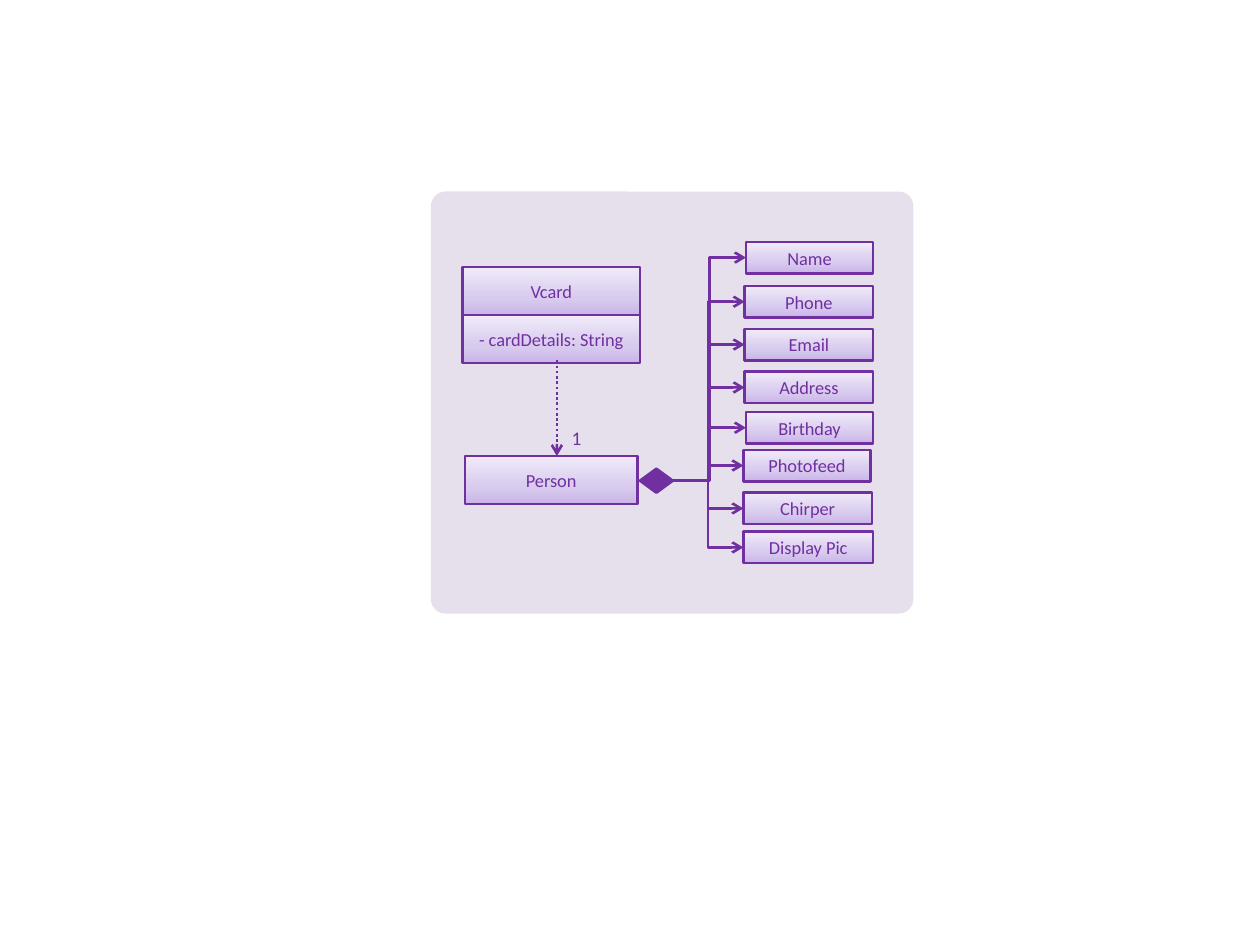
from copy import deepcopy

from lxml.etree import SubElement
from pptx import Presentation
from pptx.dml.color import RGBColor
from pptx.enum.dml import MSO_LINE
from pptx.enum.shapes import MSO_CONNECTOR as Connector, MSO_SHAPE as Shape
from pptx.enum.text import MSO_ANCHOR as Anchor, PP_ALIGN as Align
from pptx.oxml.ns import qn
from pptx.util import Inches, Pt

PURPLE = RGBColor(0x70, 0x30, 0xA0)
PANEL = RGBColor(0xE6, 0xE0, 0xEC)
GRADIENT = (
    (0, RGBColor(0xC9, 0xB5, 0xE8)),
    (0.35, RGBColor(0xD8, 0xCB, 0xEE)),
    (1, RGBColor(0xF0, 0xEA, 0xF9)),
)
LEFT_SITE, RIGHT_SITE = 1, 3

FIELDS = (
    ("Name", 5.92, 1.92, 1.01),
    ("Phone", 5.91, 2.27, 1.02),
    ("Email", 5.91, 2.61, 1.02),
    ("Address", 5.91, 2.95, 1.02),
    ("Birthday", 5.92, 3.27, 1.01),
    ("Photofeed", 5.9, 3.57, 1.01),
    ("Chirper", 5.9, 3.91, 1.02),
    ("Display Pic", 5.9, 4.22, 1.03),
)


class ClassDiagram:
    """Draws the parts of a class diagram on one slide in a shared style."""

    font = "Calibri"
    line_width = Pt(1.5)

    def __init__(self, slide):
        self.shapes = slide.shapes

    def solid(self, kind, left, top, width, height, color):
        shape = self.shapes.add_shape(
            kind, Inches(left), Inches(top), Inches(width), Inches(height))
        shape.shadow.inherit = False
        shape.fill.solid()
        shape.fill.fore_color.rgb = color
        shape.line.fill.background()
        return shape

    def outline(self, shape):
        shape.line.color.rgb = PURPLE
        shape.line.width = self.line_width

    def set_text(self, shape, text, size):
        text_frame = shape.text_frame
        text_frame.text = text
        paragraph = text_frame.paragraphs[0]
        paragraph.alignment = Align.CENTER
        font = paragraph.runs[0].font
        font.name, font.size = self.font, Pt(size)
        font.color.rgb = PURPLE

    def box(self, text, left, top, width, height):
        shape = self.solid(Shape.RECTANGLE, left, top, width, height, PANEL)
        shape.fill.gradient()
        shape.fill.gradient_angle = 90
        stop_list = shape.element.spPr.find(".//" + qn("a:gsLst"))
        stop_list.append(deepcopy(stop_list[-1]))
        for stop, (position, color) in zip(shape.fill.gradient_stops, GRADIENT):
            stop.position = position
            stop.color.rgb = color
        self.outline(shape)
        shape.text_frame.word_wrap = True
        shape.text_frame.vertical_anchor = Anchor.MIDDLE
        self.set_text(shape, text, 10.5)
        return shape

    def label(self, text, left, top, width, height):
        shape = self.shapes.add_textbox(
            Inches(left), Inches(top), Inches(width), Inches(height))
        text_frame = shape.text_frame
        text_frame.word_wrap = True
        text_frame.margin_left = text_frame.margin_right = 0
        text_frame.margin_top = text_frame.margin_bottom = 0
        self.set_text(shape, text, 11)

    def arrow(self, kind, left=0, top=0, right=0, bottom=0):
        connector = self.shapes.add_connector(
            kind, Inches(left), Inches(top), Inches(right), Inches(bottom))
        self.outline(connector)
        properties = connector.element.spPr
        line = properties.find(qn("a:ln"))
        SubElement(line, qn("a:tailEnd"), type="arrow")
        SubElement(properties, qn("a:effectLst"))
        return connector

    def branch(self, source, target):
        connector = self.arrow(Connector.ELBOW)
        connector.begin_connect(source, RIGHT_SITE)
        connector.end_connect(target, LEFT_SITE)


presentation = Presentation()
presentation.slide_width = Inches(10)
presentation.slide_height = Inches(7.5)
slide = presentation.slides.add_slide(presentation.slide_layouts[6])
diagram = ClassDiagram(slide)

panel = diagram.solid(Shape.ROUNDED_RECTANGLE, 3.42, 1.52, 3.83, 3.35, PANEL)
panel.adjustments[0] = 0.035

diagram.box("Person", 3.69, 3.62, 1.37, 0.38)
diagram.box("Vcard", 3.67, 2.12, 1.41, 0.38)
diagram.box("- cardDetails: String", 3.67, 2.5, 1.41, 0.38)

dependency = diagram.arrow(Connector.STRAIGHT, 4.42, 2.86, 4.42, 3.62)
dependency.line.dash_style = MSO_LINE.ROUND_DOT
diagram.label("1", 4.47, 3.38, 0.21, 0.2)

diamond = diagram.solid(
    Shape.FLOWCHART_DECISION, 5.08, 3.72, 0.26, 0.19, PURPLE)
diagram.outline(diamond)

for name, left, top, width in FIELDS:
    field = diagram.box(name, left, top, width, 0.25)
    diagram.branch(diamond, field)

presentation.save("out.pptx")
